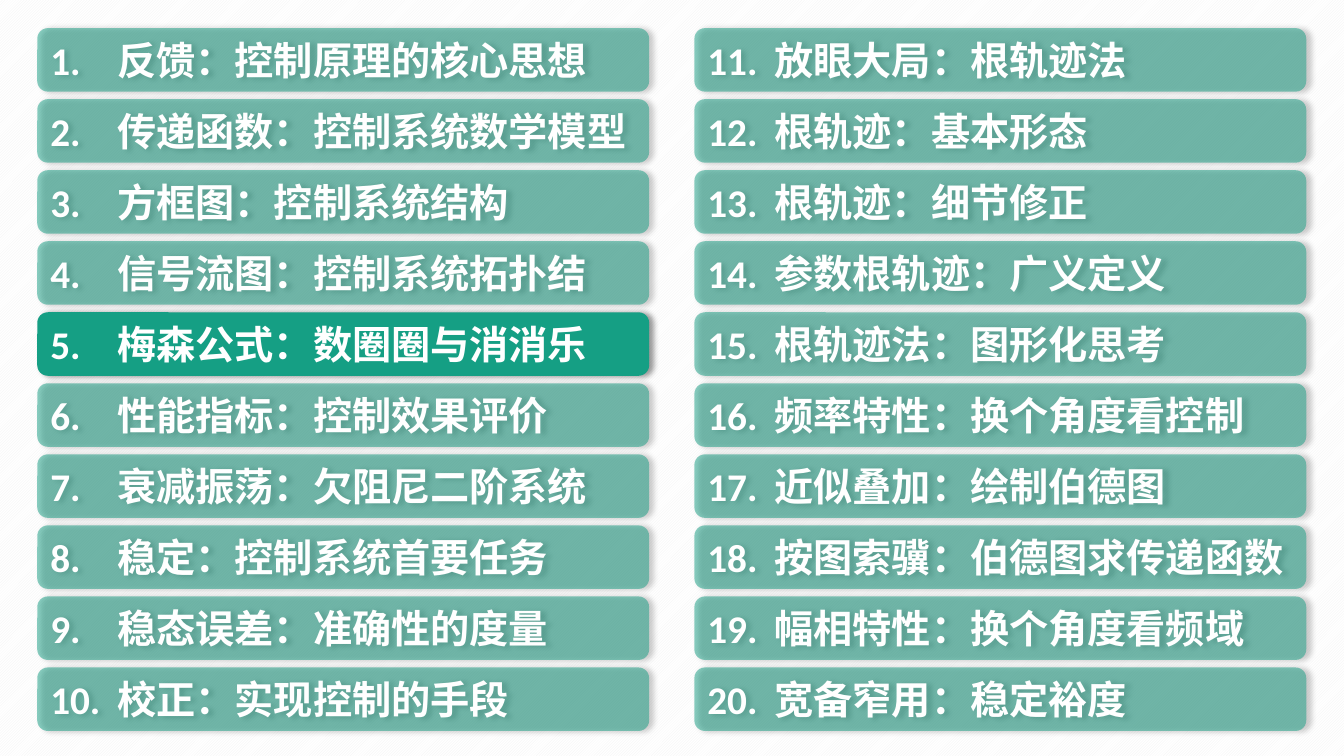
"""Build a two-column contents slide of twenty numbered lessons."""
from dataclasses import dataclass

import pptx
import pptx.dml.color
import pptx.enum.dml
import pptx.enum.shapes
import pptx.enum.text
import pptx.oxml
import pptx.oxml.ns
import pptx.shapes.autoshape
import pptx.slide
import pptx.util

GREEN = "159F84"
WHITE = "FFFFFF"
ROWS = 10
CURRENT_LESSON = 5
LEFT, TOP = 0.94, 0.71
COLUMN_PITCH, ROW_PITCH = 16.56, 1.79
BAR_WIDTH, BAR_HEIGHT = 15.42, 1.6
TITLE_INDENT = 1.69

TITLES = [
    "反馈：控制原理的核心思想",
    "传递函数：控制系统数学模型",
    "方框图：控制系统结构",
    "信号流图：控制系统拓扑结",
    "梅森公式：数圈圈与消消乐",
    "性能指标：控制效果评价",
    "衰减振荡：欠阻尼二阶系统",
    "稳定：控制系统首要任务",
    "稳态误差：准确性的度量",
    "校正：实现控制的手段",
    "放眼大局：根轨迹法",
    "根轨迹：基本形态",
    "根轨迹：细节修正",
    "参数根轨迹：广义定义",
    "根轨迹法：图形化思考",
    "频率特性：换个角度看控制",
    "近似叠加：绘制伯德图",
    "按图索骥：伯德图求传递函数",
    "幅相特性：换个角度看频域",
    "宽备窄用：稳定裕度",
]


@dataclass(frozen=True)
class Lesson:
    """A numbered lesson and its place in the grid."""
    number: int
    title: str

    @property
    def left(self) -> float:
        """Return the left edge in centimetres."""
        return LEFT + (self.number - 1) // ROWS * COLUMN_PITCH

    @property
    def top(self) -> float:
        """Return the top edge in centimetres."""
        return TOP + (self.number - 1) % ROWS * ROW_PITCH


def set_color(target: pptx.dml.color.ColorFormat, value: str) -> None:
    """Set a colour from a hex string."""
    target.rgb = pptx.dml.color.RGBColor.from_string(value)


def append_xml(parent, markup: str):
    """Append a drawing element, written without its namespace, to a parent."""
    tag, _, attributes = markup.partition(" ")
    namespace = pptx.oxml.ns.nsdecls("a")
    element = pptx.oxml.parse_xml(f"<a:{tag} {namespace} {attributes}/>")
    parent.append(element)
    return element


def add_shadow(shape: pptx.shapes.autoshape.Shape) -> None:
    """Give a shape a soft shadow to its right."""
    shape.shadow.inherit = False
    effects = shape._element.spPr.find(pptx.oxml.ns.qn("a:effectLst"))
    blur, distance = pptx.util.Pt(4), pptx.util.Pt(3)
    shadow = append_xml(
        effects,
        f'outerShdw blurRad="{blur}" dist="{distance}" dir="0" algn="l" rotWithShape="0"',
    )
    color = append_xml(shadow, 'srgbClr val="000000"')
    append_xml(color, 'alpha val="40000"')


def add_lesson(slide: pptx.slide.Slide, lesson: Lesson) -> None:
    """Draw one lesson as a rounded bar, solid when it is the current one."""
    shape = slide.shapes.add_shape(
        pptx.enum.shapes.MSO_SHAPE.ROUNDED_RECTANGLE,
        *map(pptx.util.Cm, (lesson.left, lesson.top, BAR_WIDTH, BAR_HEIGHT)),
    )
    shape.fill.solid()
    set_color(shape.fill.fore_color, GREEN)
    if lesson.number != CURRENT_LESSON:
        color = shape._element.spPr.find(".//" + pptx.oxml.ns.qn("a:srgbClr"))
        append_xml(color, 'alpha val="50000"')
    shape.line.fill.background()
    add_shadow(shape)

    text_frame = shape.text_frame
    text_frame.word_wrap = True
    text_frame.auto_size = pptx.enum.text.MSO_AUTO_SIZE.SHAPE_TO_FIT_TEXT
    text_frame.vertical_anchor = pptx.enum.text.MSO_ANCHOR.MIDDLE
    paragraph = text_frame.paragraphs[0]
    paragraph.text = f"{lesson.number}.\t{lesson.title}"
    paragraph.alignment = pptx.enum.text.PP_ALIGN.LEFT
    tabs = append_xml(paragraph._p.get_or_add_pPr(), "tabLst")
    append_xml(tabs, f'tab pos="{pptx.util.Cm(TITLE_INDENT)}" algn="l"')
    font = paragraph.font
    font.name = "Calibri"
    font.size = pptx.util.Pt(28)
    font.bold = True
    set_color(font.color, WHITE)


def main() -> None:
    """Create and save the presentation."""
    presentation = pptx.Presentation()
    presentation.slide_width = pptx.util.Cm(33.87)
    presentation.slide_height = pptx.util.Cm(19.05)
    slide = presentation.slides.add_slide(presentation.slide_layouts[6])
    background = slide.background.fill
    background.patterned()
    background.pattern = pptx.enum.dml.MSO_PATTERN.LIGHT_UPWARD_DIAGONAL
    set_color(background.fore_color, "F2F2F2")
    set_color(background.back_color, WHITE)
    for number, title in enumerate(TITLES, start=1):
        add_lesson(slide, Lesson(number, title))
    presentation.save("out.pptx")


if __name__ == "__main__":
    main()
